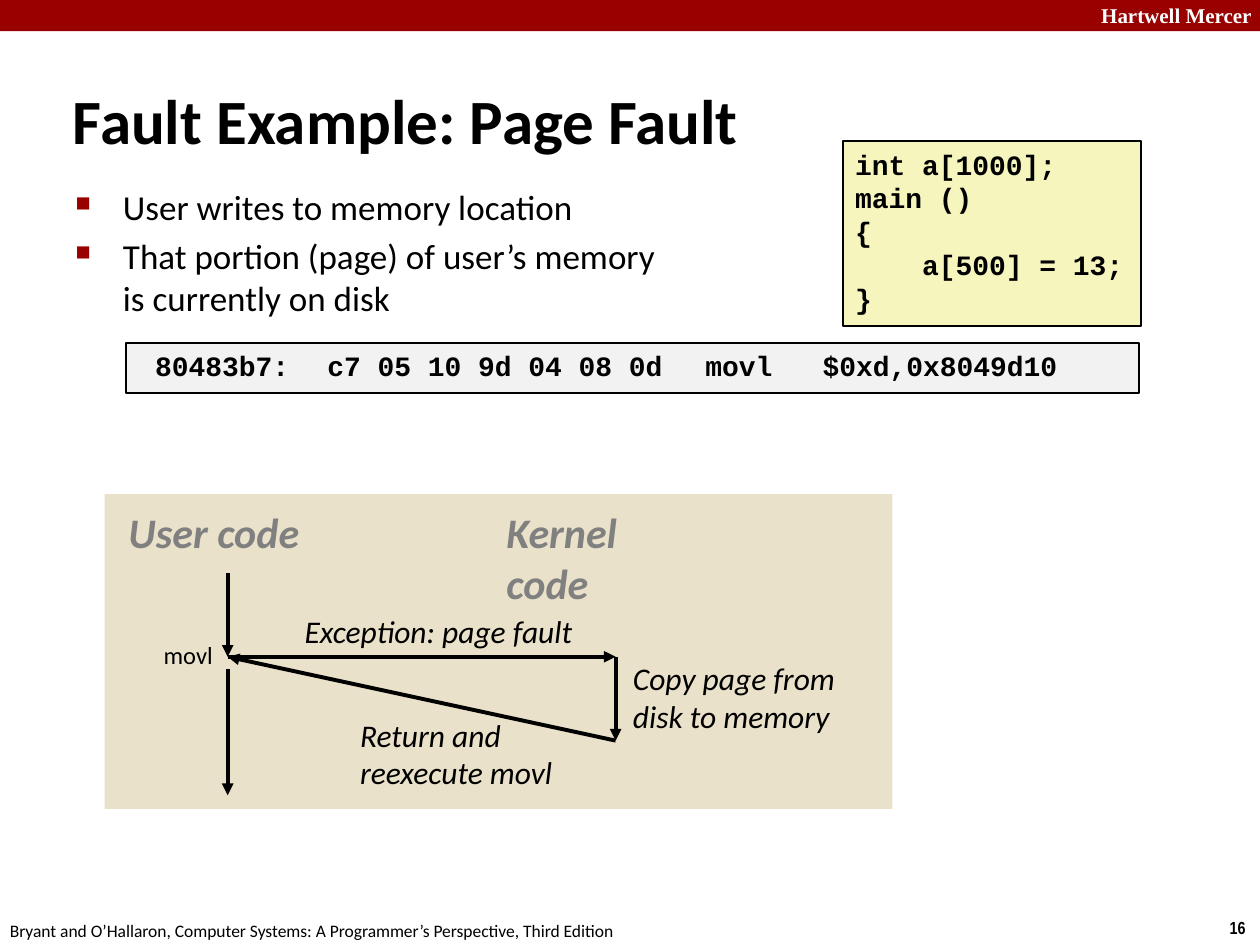
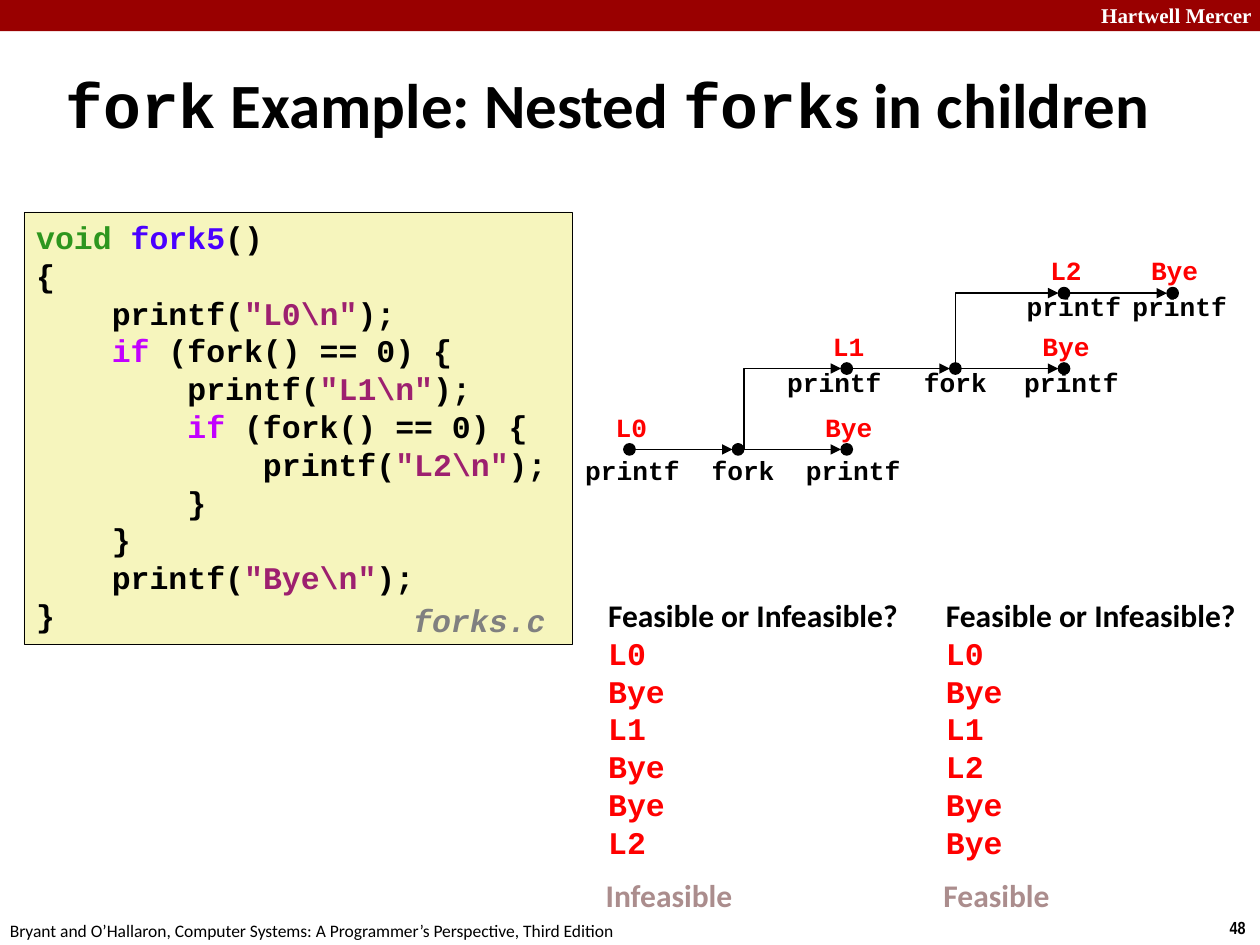
from lxml import etree
from pptx import Presentation
from pptx.dml.color import RGBColor
from pptx.enum.shapes import MSO_CONNECTOR, MSO_SHAPE
from pptx.enum.text import MSO_ANCHOR, PP_ALIGN
from pptx.oxml.ns import qn
from pptx.util import Cm, Pt

RECT, OVAL = MSO_SHAPE.RECTANGLE, MSO_SHAPE.OVAL
LINE, ELBOW = MSO_CONNECTOR.STRAIGHT, MSO_CONNECTOR.ELBOW
TOP, MIDDLE = MSO_ANCHOR.TOP, MSO_ANCHOR.MIDDLE
LEFT, CENTER = PP_ALIGN.LEFT, PP_ALIGN.CENTER

BLACK = RGBColor(0x00, 0x00, 0x00)
WHITE = RGBColor(0xFF, 0xFF, 0xFF)
CRIMSON = RGBColor(0x99, 0x00, 0x00)
SAND = RGBColor(0xE9, 0xE1, 0xC9)
CREAM = RGBColor(0xF6, 0xF5, 0xBD)
PALE = RGBColor(0xF2, 0xF2, 0xF2)
GRAY = RGBColor(0x80, 0x80, 0x80)
RED = RGBColor(0xFF, 0x00, 0x00)
GREEN = RGBColor(0x2D, 0x96, 0x1E)
BLUE = RGBColor(0x4A, 0x00, 0xFF)
PLUM = RGBColor(0x9D, 0x20, 0x6F)
VIOLET = RGBColor(0xC2, 0x00, 0xFF)
ROSE = RGBColor(0xAB, 0x8D, 0x8D)

BODY, CODE, SERIF, NARROW = "Calibri", "Courier New", "Times New Roman", "Arial Narrow"
WIDE, HIGH = 25.4, 19.05


def write(shape, rows, size, font=BODY, color=BLACK, bold=False, italic=False,
          align=LEFT, wrap=False, anchor=TOP):
    """Fill a shape with rows; a row is a string or (text, colour or font) pieces."""
    frame = shape.text_frame
    frame.word_wrap, frame.vertical_anchor = wrap, anchor
    for i, row in enumerate(rows):
        para = frame.paragraphs[0] if i == 0 else frame.add_paragraph()
        para.alignment = align
        para.font.size, para.font.name = Pt(size), font
        para.font.bold, para.font.italic = bold, italic
        para.font.color.rgb = color
        if isinstance(row, str):
            para.text = row
            continue
        for words, style in row:
            run = para.add_run()
            run.text = words
            if isinstance(style, str):
                run.font.name = style
            else:
                run.font.color.rgb = style
    return frame.paragraphs


def label(slide, x, y, w, h, rows, size, **style):
    """Add a text box and return its paragraphs."""
    return write(slide.shapes.add_textbox(Cm(x), Cm(y), Cm(w), Cm(h)), rows, size, **style)


def block(slide, x, y, w, h, fill, line=0, kind=RECT):
    """Add a filled shape with a black outline of the given width, or none."""
    shape = slide.shapes.add_shape(kind, Cm(x), Cm(y), Cm(w), Cm(h))
    shape.shadow.inherit = False
    shape.fill.solid()
    shape.fill.fore_color.rgb = fill
    if line:
        shape.line.color.rgb, shape.line.width = BLACK, Pt(line)
    else:
        shape.line.fill.background()
    return shape


def arrow(slide, x1, y1, x2, y2, width, kind=LINE):
    """Add a black connector that ends in a triangle."""
    link = slide.shapes.add_connector(kind, Cm(x1), Cm(y1), Cm(x2), Cm(y2))
    link.line.color.rgb, link.line.width = BLACK, Pt(width)
    link.line._get_or_add_ln().append(
        etree.Element(qn("a:tailEnd"), type="triangle"))
    etree.SubElement(link.element.spPr, qn("a:effectLst"))
    return link


def bend(slide, x1, y1, x2, y2, width):
    """Add an arrow that goes up first and then right."""
    mx, my = (x1 + x2) / 2, (y1 + y2) / 2
    dx, dy = (x2 - x1) / 2, (y1 - y2) / 2
    link = arrow(slide, mx + dy, my + dx, mx - dy, my - dx, width, ELBOW)
    prop = link.element.spPr
    prop.find(qn("a:xfrm")).set("rot", "5400000")
    prop.find(qn("a:prstGeom")).set("prst", "bentConnector2")


def page(deck, number):
    """Add a slide with the band, the footer and its number."""
    slide = deck.slides.add_slide(deck.slide_layouts[6])
    block(slide, 0, 0, WIDE, 0.63, CRIMSON)
    label(slide, 21.95, -0.08, 3.63, 0.77, ["Hartwell Mercer"], 12,
          font=SERIF, color=WHITE, bold=True, wrap=True)
    label(slide, 24.54, 18.36, 0.86, 0.69, [str(number)], 10, font=NARROW, bold=True)
    label(slide, -0.05, 18.42, 12.9, 0.69,
          ["Bryant and O’Hallaron, Computer Systems: A Programmer’s Perspective, Third Edition"], 10)
    return slide


def title(slide, x, y, w, row):
    """Add the slide title."""
    label(slide, x, y, w, 1.57, [row], 36, bold=True, wrap=True, anchor=MIDDLE)


def points(slide, x, y, w, h, rows):
    """Add a list with square bullets."""
    for para in label(slide, x, y, w, h, rows, 20, wrap=True):
        para.space_before = Pt(4)
        prop = para._p.get_or_add_pPr()
        prop.set("marL", str(Cm(0.96)))
        prop.set("indent", str(Cm(-0.96)))
        tint = etree.Element(qn("a:buClr"))
        etree.SubElement(tint, qn("a:srgbClr"), val=str(CRIMSON))
        size = etree.Element(qn("a:buSzPct"), val="60000")
        mark = etree.Element(qn("a:buChar"), char="■")
        rest = prop.find(qn("a:defRPr"))
        for part in (tint, size, mark):
            rest.addprevious(part)


def listing(slide, x, y, w, h, rows, size, fill=CREAM, line=1):
    """Add a framed box of code."""
    write(block(slide, x, y, w, h, fill, line), rows, size, font=CODE, bold=True)


def flow(slide, x, y):
    """Draw the passage between user and kernel code."""
    block(slide, x, y, 15.88, 6.35, SAND)
    for dx, head in ((0.23, "User code"), (7.85, "Kernel code")):
        label(slide, x + dx, y + 0.13, 4.5, 1.27, [head], 24,
              color=GRAY, bold=True, italic=True, wrap=True)
    user, kernel, fault, back = x + 2.48, x + 10.3, y + 3.28, y + 4.97
    for path in ((user, y + 1.6, user, fault),
                 (user, fault, kernel, fault),
                 (kernel, fault, kernel, back),
                 (kernel, back, user, fault),
                 (user, y + 3.53, user, y + 6.07)):
        arrow(slide, *path, 2.25)
    for dx, dy, w, h, note in ((3.78, 2.26, 6.15, 1.02, "Exception: page fault"),
                               (10.4, 3.2, 5.49, 1.78, "Copy page from disk to memory"),
                               (4.9, 4.34, 5.05, 1.78, "Return and reexecute movl")):
        label(slide, x + dx, y + dy, w, h, [note], 18, italic=True, wrap=True)
    label(slide, x + 0.94, y + 2.82, 1.52, 0.86, ["movl"], 14)


def graph(slide, x, y):
    """Draw the process graph on columns of equal gap, from the first node."""
    gap, dot, rows = 2.19, 0.23, (0, -1.63, -3.15)
    drop = (-0.02, -0.18, -0.18)

    def spot(col, row):
        """Give the centre of a node."""
        return x + col * gap, y + rows[row]

    for col, row in ((0, 0), (1, 0), (2, 1), (3, 1), (4, 2)):
        px, py = spot(col, row)
        arrow(slide, px + dot / 2, py, px + gap - dot / 2, py, 1)
    for col, row, shift in ((1, 0, 0.11), (3, 1, 0)):
        px, py = spot(col, row)
        qx, qy = spot(col + 1, row + 1)
        bend(slide, px + shift, py, qx - dot / 2, qy, 1)
    for col, row, word, shift, mark in (
            (0, 0, "printf", 0.06, "L0"), (1, 0, "fork", 0.1, ""),
            (2, 0, "printf", 0.13, "Bye"), (2, 1, "printf", -0.25, "L1"),
            (3, 1, "fork", 0, ""), (4, 1, "printf", 0.15, "Bye"),
            (4, 2, "printf", 0.2, "L2"), (5, 2, "printf", 0.14, "Bye")):
        px, py = spot(col, row)
        block(slide, px - dot / 2, py - dot / 2, dot, dot, BLACK, 0.75, OVAL)
        label(slide, px + shift - 1.3, py + drop[row], 2.6, 0.89, [word], 15,
              font=CODE, bold=True, align=CENTER, wrap=True)
        if mark:
            label(slide, px - 0.7, py - 0.9, 1.48, 0.89, [mark], 15,
                  font=CODE, color=RED, bold=True, align=CENTER)


def quiz(slide, x, y, marks, verdict):
    """Add one output order with its verdict below."""
    rows = label(slide, x, y, 6.5, 5.64, ["Feasible or Infeasible?"] + marks.split(), 18,
                 font=CODE, color=RED, bold=True)
    rows[0].font.name, rows[0].font.color.rgb = BODY, BLACK
    label(slide, x - 0.05, y + 5.64, 3.2, 1.02, [verdict], 18,
          color=ROSE, bold=True, wrap=True)


def fault(deck):
    """Build the page fault slide."""
    slide = page(deck, 16)
    title(slide, 1.22, 1.62, 21.92, "Fault Example: Page Fault")
    points(slide, 1.27, 3.61, 22.66, 2.97,
           ["User writes to memory location",
            "That portion (page) of user’s memory \vis currently on disk"])
    listing(slide, 16.99, 2.84, 6.02, 3.73,
            ["int a[1000];", "main ()", "{", "    a[500] = 13;", "}"], 16)
    listing(slide, 2.54, 6.91, 20.42, 1.02,
            [" 80483b7:\tc7 05 10 9d 04 08 0d \tmovl   $0xd,0x8049d10"], 16, PALE)
    flow(slide, 2.11, 9.96)


def nested(deck):
    """Build the nested forks slide."""
    slide = page(deck, 48)
    title(slide, 1.07, 1.29, 23.42,
          [("fork", CODE), (" Example: Nested ", BODY), ("fork", CODE), ("s in children", BODY)])

    def show(depth, word):
        """Give a coloured printf line."""
        return [("    " * depth + "printf(", BLACK), (f'"{word}\\n"', PLUM), (");", BLACK)]

    def test(depth):
        """Give a coloured if line."""
        return [("    " * depth, BLACK), ("if", VIOLET), (" (fork() == 0) {", BLACK)]

    listing(slide, 0.48, 4.27, 11.05, 8.71,
            [[("void ", GREEN), ("fork5", BLUE), ("()", BLACK)], "{",
             show(1, "L0"), test(1), show(2, "L1"), test(2), show(3, "L2"),
             "        }", "    }", show(1, "Bye"), "}"], 18, line=0.25)
    label(slide, 8.08, 11.99, 3.35, 0.99, ["forks.c"], 18,
          font=CODE, color=GRAY, bold=True, italic=True)
    graph(slide, 12.69, 9.06)
    quiz(slide, 12.01, 11.89, "L0 Bye L1 Bye Bye L2", "Infeasible")
    quiz(slide, 18.82, 11.89, "L0 Bye L1 L2 Bye Bye", "Feasible")


def main():
    """Build and save the deck."""
    deck = Presentation()
    deck.slide_width, deck.slide_height = Cm(WIDE), Cm(HIGH)
    fault(deck)
    nested(deck)
    deck.save("out.pptx")


if __name__ == "__main__":
    main()
